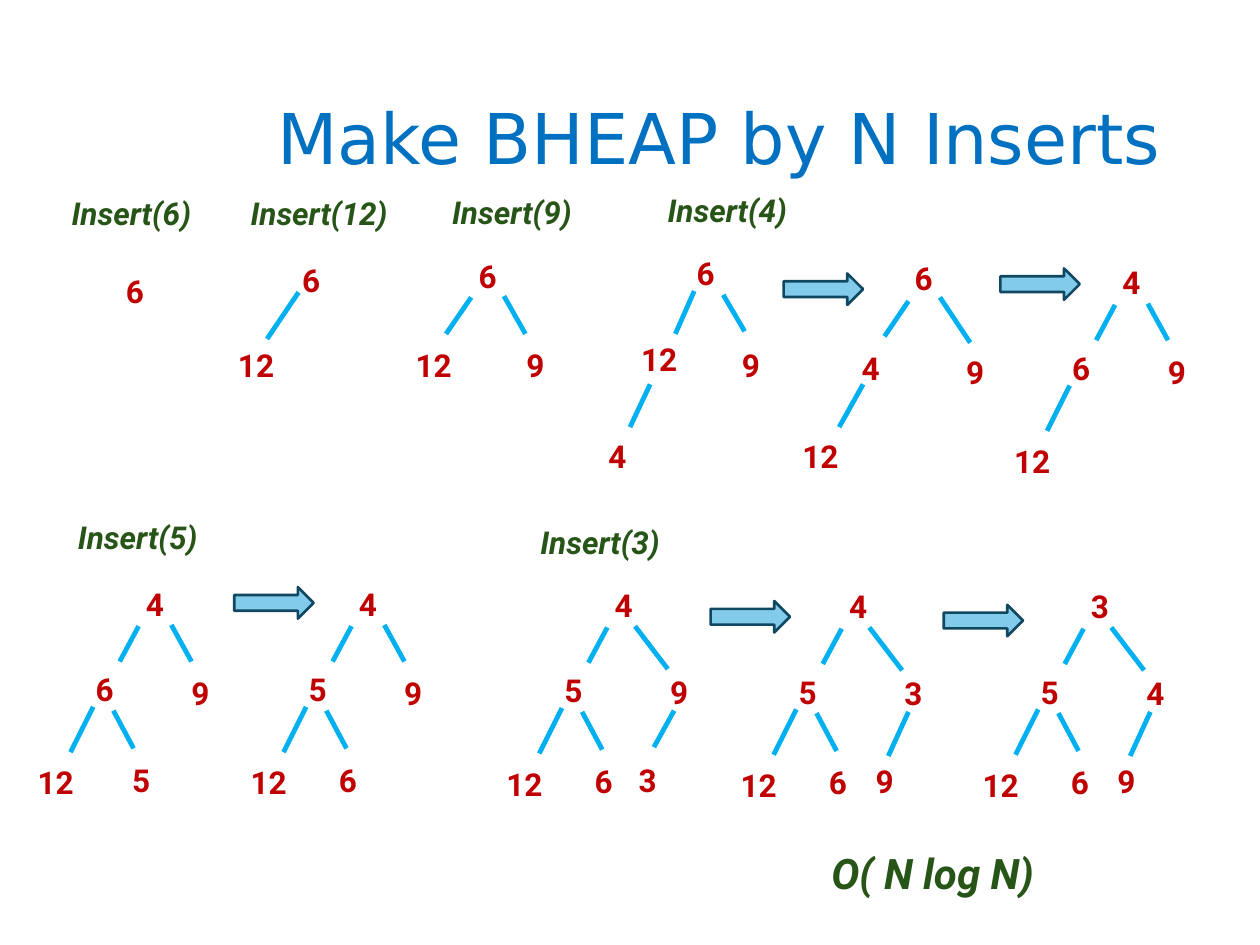
from lxml import etree
from pptx import Presentation
from pptx import util as u
from pptx.dml import color
from pptx.enum import shapes, text
from pptx.oxml import ns

RED, GREEN, CYAN = "C00000", "275417", "00B0F0"
LEFT = (-0.4, 0.68, (0.04, 0.38, -0.11, 0.66))
RIGHT = (0.36, 0.71, (0.3, 0.37, 0.46, 0.66))
WIDE = (0.44, 0.69, (0.26, 0.37, 0.52, 0.71))
FAR = (-0.86, 1.42, (-0.32, 1.02, -0.5, 1.38))
NEAR = (-0.16, 1.4, (-0.16, 1.05, 0, 1.35))
NEXT = (-0.11, 1.4, NEAR[2])
INNER = (0.19, 1.39, (0.57, 1.04, 0.41, 1.33))
DEEP = (0.21, 1.39, (0.57, 1.04, 0.41, 1.39))

TREES = [
    (2.3, 2.02, 6, [(12, (-0.51, 0.68, (0.07, 0.3, -0.18, 0.67)))]),
    (3.7, 1.99, 6, [(12, (-0.5, 0.71, (0.04, 0.37, -0.16, 0.66))),
                    (9, (0.38, 0.71, (0.3, 0.36, 0.47, 0.66)))]),
    (5.43, 1.97, 6, [(12, (-0.44, 0.68, (0.08, 0.34, -0.07, 0.68))),
                     (9, (0.36, 0.73, (0.31, 0.37, 0.48, 0.66))),
                     (4, (-0.7, 1.45, (-0.27, 1.08, -0.43, 1.42)))]),
    (7.16, 2.01, 6, [(4, (-0.42, 0.71, (0.05, 0.38, -0.14, 0.66))),
                     (9, (0.41, 0.74, (0.3, 0.35, 0.54, 0.71))),
                     (12, (-0.89, 1.41, (-0.31, 1.04, -0.5, 1.38)))]),
    (8.81, 2.04, 4, [(6, LEFT), (9, RIGHT), (12, FAR)]),
    (1.06, 4.59, 4, [(6, LEFT), (9, RIGHT), (12, FAR), (5, NEXT)]),
    (2.75, 4.59, 4, [(5, LEFT), (9, RIGHT), (12, FAR), (6, NEAR)]),
    (4.78, 4.6, 4, [(5, LEFT), (9, WIDE), (12, FAR), (6, NEAR), (3, INNER)]),
    (6.64, 4.61, 4, [(5, LEFT), (3, WIDE), (12, FAR), (6, NEAR), (9, DEEP)]),
    (8.56, 4.61, 3, [(5, LEFT), (4, WIDE), (12, FAR), (6, NEAR), (9, DEEP)]),
]
ARROWS = [(6.22, 2.17), (7.94, 2.13), (1.86, 4.66), (5.64, 4.77), (7.49, 4.8)]
LABELS = [(0.47, 1.49, 6), (1.89, 1.49, 12), (3.49, 1.48, 9),
          (5.2, 1.47, 4), (0.52, 4.06, 5), (4.19, 4.1, 3)]


def rgb(code):
    return color.RGBColor.from_string(code)


class Deck:
    """Holds the style and the current slide, and draws each kind of element."""

    def __init__(self, wide, high):
        self.prs = Presentation()
        self.prs.slide_width, self.prs.slide_height = u.Inches(wide), u.Inches(high)
        self.slide = self.prs.slides.add_slide(self.prs.slide_layouts[5])
        self.face = "Roboto"

    def title(self, words, *box):
        head = self.slide.shapes.title
        head.left, head.top, head.width, head.height = map(u.Inches, box)
        frame = head.text_frame
        frame.text = words
        frame.vertical_anchor = text.MSO_ANCHOR.MIDDLE
        para = frame.paragraphs[0]
        para.alignment = text.PP_ALIGN.RIGHT
        para.line_spacing = 0.9
        self.font(para, 40, "0070C0", "DejaVu Sans")

    def font(self, para, size, ink, face):
        para.font.size, para.font.name = u.Pt(size), face
        para.font.color.rgb = rgb(ink)

    def label(self, words, *box, size=18, ink=GREEN, slant=True, home=None):
        area = (home or self.slide).shapes.add_textbox(*map(u.Inches, box))
        frame = area.text_frame
        frame.word_wrap = True
        frame.auto_size = text.MSO_AUTO_SIZE.SHAPE_TO_FIT_TEXT
        frame.text = words
        para = frame.paragraphs[0]
        self.font(para, size, ink, self.face)
        para.font.bold, para.font.italic = True, slant

    def node(self, key, x, y, home=None):
        width = 0.58 if key > 9 else 0.42
        self.label(str(key), x, y, width, 0.4, ink=RED, slant=False, home=home)

    def edge(self, home, *ends):
        line = home.shapes.add_connector(
            shapes.MSO_CONNECTOR.STRAIGHT, *map(u.Inches, ends))
        line.line.color.rgb = rgb(CYAN)
        line.line.width = u.Pt(2.75)
        etree.SubElement(line._element.spPr, ns.qn("a:effectLst"))

    def tree(self, x, y, root, kids):
        group = self.slide.shapes.add_group_shape()
        self.node(root, x, y, group)
        for key, (dx, dy, (ax, ay, bx, by)) in kids:
            self.edge(group, x + ax, y + ay, x + bx, y + by)
            self.node(key, x + dx, y + dy, group)

    def arrow(self, x, y):
        shape = self.slide.shapes.add_shape(
            shapes.MSO_SHAPE.RIGHT_ARROW, *map(u.Inches, (x, y, 0.63, 0.25)))
        shape.shadow.inherit = False
        shape.fill.solid()
        shape.fill.fore_color.rgb = rgb("83CBEB")
        shape.line.color.rgb = rgb("104862")
        shape.line.width = u.Pt(1.5)


def main():
    deck = Deck(10, 7.5)
    deck.title("Make BHEAP by N Inserts", 0.69, 0.4, 8.62, 1.45)
    deck.node(6, 0.9, 2.11)
    for tree in TREES:
        deck.tree(*tree)
    for spot in ARROWS:
        deck.arrow(*spot)
    for x, y, key in LABELS:
        deck.label(f"Insert({key})", x, y, 1.5 if key > 9 else 1.36, 0.4)
    deck.label("O( N log N)", 6.5, 6.68, 2.2, 0.5, size=24)
    deck.prs.save("out.pptx")


if __name__ == "__main__":
    main()
